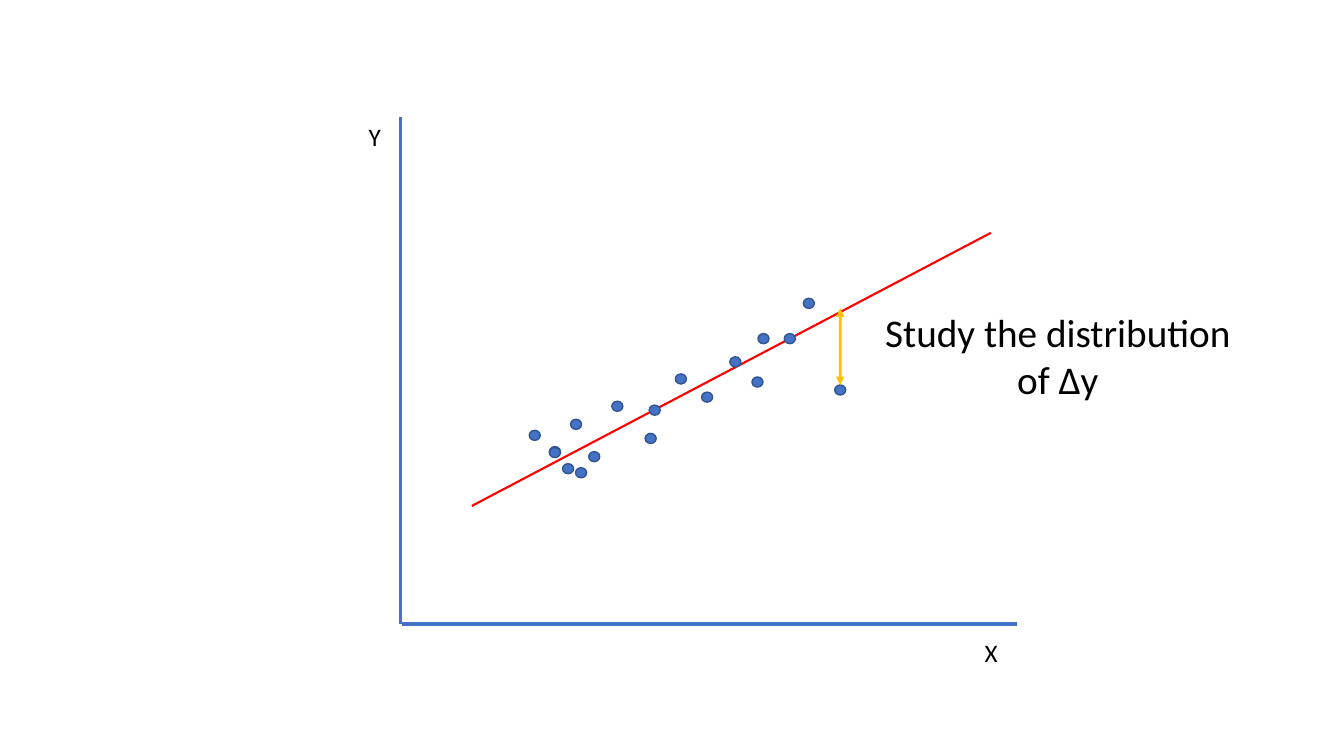
from lxml import etree
from pptx import Presentation
from pptx.dml.color import RGBColor
from pptx.enum.shapes import MSO_CONNECTOR, MSO_SHAPE
from pptx.enum.text import MSO_AUTO_SIZE, PP_ALIGN
from pptx.oxml.ns import qn
from pptx.util import Pt

STRAIGHT = MSO_CONNECTOR.STRAIGHT
OVAL = MSO_SHAPE.OVAL
LEFT, CENTER = PP_ALIGN.LEFT, PP_ALIGN.CENTER
FIT_SHAPE = MSO_AUTO_SIZE.SHAPE_TO_FIT_TEXT
TOP_SITE = 0

BLUE, DARK_BLUE, RED, GOLD, BLACK = "4472C4", "325491", "FF0000", "FFC000", "000000"
FONT = "Calibri"

# Start and end of each line, in points
Y_AXIS = ((285.8, 83.5), (285.8, 445.7))
X_AXIS = ((287.3, 445.7), (726.5, 445.7))
TREND = ((337, 361.4), (707.8, 166.3))
RESIDUAL = ((600.2, 220.3), (600.2, 275))

# Left and top of each data point
DOT_WIDTH, DOT_HEIGHT = 7.9, 7.2
OUTLIER = (596.2, 275)
DOTS = [
    (378, 307.4), (411.1, 334.1), (407.5, 299.5), (392.4, 319),
    (460.8, 309.6), (437, 286.6), (420.5, 322.6), (392.4, 319.7),
    (463.7, 289.4), OUTLIER, (482.4, 267.1), (401.8, 331.2),
    (501.1, 280.1), (541.4, 238.3), (521.3, 254.9), (537.1, 269.3),
    (560.2, 238.3), (573.8, 213.1),
]

# Text with left, top, width, height
X_LABEL = ("X", (696.2, 451.4, 23.8, 28.8))
Y_LABEL = ("Y", (256.3, 82.8, 23, 28.8))
NOTE = ("Study the distribution\nof Δy", (623.5, 216.7, 264.2, 74.9))


def color(value):
    return RGBColor.from_string(value)


def add_line(page, ends, line_color, width, arrows=False):
    (x1, y1), (x2, y2) = ends
    line = page.shapes.add_connector(STRAIGHT, Pt(x1), Pt(y1), Pt(x2), Pt(y2))
    line.line.color.rgb = color(line_color)
    line.line.width = Pt(width)
    if arrows:
        outline = line.line._get_or_add_ln()
        for end in ("a:headEnd", "a:tailEnd"):
            etree.SubElement(outline, qn(end), type="triangle")
    etree.SubElement(line._element.spPr, qn("a:effectLst"))
    return line


def add_dot(page, left, top):
    dot = page.shapes.add_shape(OVAL, Pt(left), Pt(top), Pt(DOT_WIDTH), Pt(DOT_HEIGHT))
    dot.shadow.inherit = False
    dot.fill.solid()
    dot.fill.fore_color.rgb = color(BLUE)
    dot.line.color.rgb = color(DARK_BLUE)
    dot.line.width = Pt(1)
    return dot


def add_text(page, text, place, size=18, align=LEFT):
    box = page.shapes.add_textbox(*map(Pt, place))
    frame = box.text_frame
    frame.word_wrap = False
    frame.auto_size = FIT_SHAPE
    frame.text = text
    for para in frame.paragraphs:
        para.alignment = align
        for span in para.runs:
            span.font.name = FONT
            span.font.size = Pt(size)
            span.font.color.rgb = color(BLACK)


def main():
    deck = Presentation()
    deck.slide_width, deck.slide_height = Pt(960), Pt(540)
    page = deck.slides.add_slide(deck.slide_layouts[6])

    for axis in (Y_AXIS, X_AXIS):
        add_line(page, axis, BLUE, 2.25)
    for label in (X_LABEL, Y_LABEL):
        add_text(page, *label)
    add_line(page, TREND, RED, 1.5)

    dots = {place: add_dot(page, *place) for place in DOTS}
    arrow = add_line(page, RESIDUAL, GOLD, 2, arrows=True)
    arrow.end_connect(dots[OUTLIER], TOP_SITE)
    add_text(page, *NOTE, size=28, align=CENTER)

    deck.save("out.pptx")


if __name__ == "__main__":
    main()
